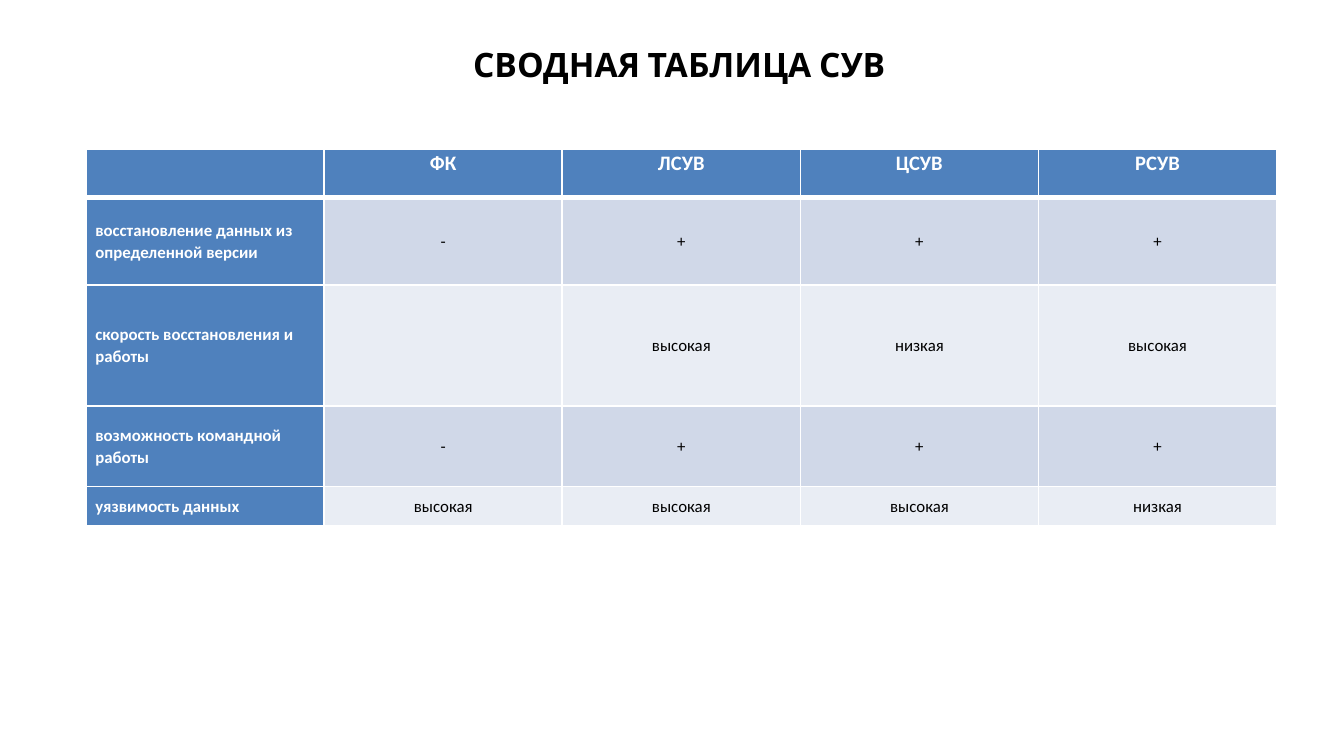
from dataclasses import dataclass

import pptx
import pptx.dml.color
import pptx.enum.text
import pptx.oxml.ns
import pptx.util
from lxml import etree

Inches = pptx.util.Inches
Align = pptx.enum.text.PP_ALIGN
Anchor = pptx.enum.text.MSO_ANCHOR


@dataclass(frozen=True)
class Theme:
    title_font: str = "Cabin"
    table_font: str = "Calibri"
    title_size: int = 18
    header_size: int = 11
    body_size: int = 9
    dark: str = "000000"
    light: str = "FFFFFF"
    accent: str = "4F81BD"
    bands: tuple[str, str] = ("D0D8E8", "E9EDF4")
    line_spacing: float = 1.07


@dataclass(frozen=True)
class TextStyle:
    font: str
    size: int
    color: str
    bold: bool
    alignment: Align


@dataclass(frozen=True)
class TableRow:
    height: float
    texts: tuple[str, ...]


THEME = Theme()
TITLE = TextStyle(THEME.title_font, THEME.title_size, THEME.dark, True, Align.CENTER)
HEADER = TextStyle(THEME.table_font, THEME.header_size, THEME.light, True, Align.CENTER)
CRITERION = TextStyle(THEME.table_font, THEME.body_size, THEME.light, True, Align.LEFT)
VALUE = TextStyle(THEME.table_font, THEME.body_size, THEME.dark, False, Align.CENTER)

SLIDE_WIDTH = 10
SLIDE_HEIGHT = SLIDE_WIDTH * 9 / 16
TABLE_WIDTH = 8.86
ROWS = (
    TableRow(0.36, ("", "ФК", "ЛСУВ", "ЦСУВ", "РСУВ")),
    TableRow(0.65, ("восстановление данных из определенной версии", "-", "+", "+", "+")),
    TableRow(0.9, ("скорость восстановления и работы", "", "высокая", "низкая", "высокая")),
    TableRow(0.6, ("возможность командной работы", "-", "+", "+", "+")),
    TableRow(0.29, ("уязвимость данных", "высокая", "высокая", "высокая", "низкая")),
)


def write_text(paragraph, text: str, style: TextStyle) -> None:
    paragraph.alignment = style.alignment
    if not text:
        paragraph.font.size = pptx.util.Pt(style.size)
        return
    run = paragraph.add_run()
    run.text = text
    run.font.name = style.font
    run.font.size = pptx.util.Pt(style.size)
    run.font.bold = style.bold
    run.font.color.rgb = pptx.dml.color.RGBColor.from_string(style.color)


def set_borders(cell, color: str, bottom_width: float) -> None:
    properties = cell._tc.get_or_add_tcPr()
    name = pptx.oxml.ns.qn
    for side, width in (("L", 1), ("R", 1), ("T", 1), ("B", bottom_width)):
        line = etree.SubElement(properties, name(f"a:ln{side}"), w=str(pptx.util.Pt(width)))
        fill = etree.SubElement(line, name("a:solidFill"))
        etree.SubElement(fill, name("a:srgbClr"), val=color)


def fill_cell(cell, text: str, style: TextStyle, color: str, is_header: bool) -> None:
    set_borders(cell, THEME.light, 3 if is_header else 1)
    cell.fill.solid()
    cell.fill.fore_color.rgb = pptx.dml.color.RGBColor.from_string(color)
    cell.margin_left = cell.margin_right = Inches(0.07)
    cell.margin_top = cell.margin_bottom = 0
    cell.vertical_anchor = Anchor.TOP if is_header else Anchor.MIDDLE
    paragraph = cell.text_frame.paragraphs[0]
    paragraph.line_spacing = THEME.line_spacing
    write_text(paragraph, text, style)


def add_title(slide, text: str) -> None:
    shape = slide.shapes.add_textbox(Inches(0.38), Inches(0.28), Inches(9.35), Inches(0.58))
    frame = shape.text_frame
    frame.word_wrap = True
    frame.margin_left = frame.margin_right = 0
    write_text(frame.paragraphs[0], text, TITLE)


def add_comparison_table(slide, rows: tuple[TableRow, ...]) -> None:
    column_count = len(rows[0].texts)
    table = slide.shapes.add_table(
        len(rows), column_count, Inches(0.64), Inches(1.11),
        Inches(TABLE_WIDTH), Inches(sum(row.height for row in rows)),
    ).table
    for column in table.columns:
        column.width = Inches(TABLE_WIDTH / column_count)
    for row_index, row in enumerate(rows):
        table.rows[row_index].height = Inches(row.height)
        for column_index, text in enumerate(row.texts):
            is_header = row_index == 0
            if is_header:
                style, color = HEADER, THEME.accent
            elif column_index == 0:
                style, color = CRITERION, THEME.accent
            else:
                style, color = VALUE, THEME.bands[(row_index - 1) % 2]
            fill_cell(table.cell(row_index, column_index), text, style, color, is_header)


def main() -> None:
    presentation = pptx.Presentation()
    presentation.slide_width = Inches(SLIDE_WIDTH)
    presentation.slide_height = Inches(SLIDE_HEIGHT)
    slide = presentation.slides.add_slide(presentation.slide_layouts[6])

    # Heading
    add_title(slide, "СВОДНАЯ ТАБЛИЦА СУВ")
    # Comparison of version control systems
    add_comparison_table(slide, ROWS)

    presentation.save("out.pptx")


if __name__ == "__main__":
    main()
